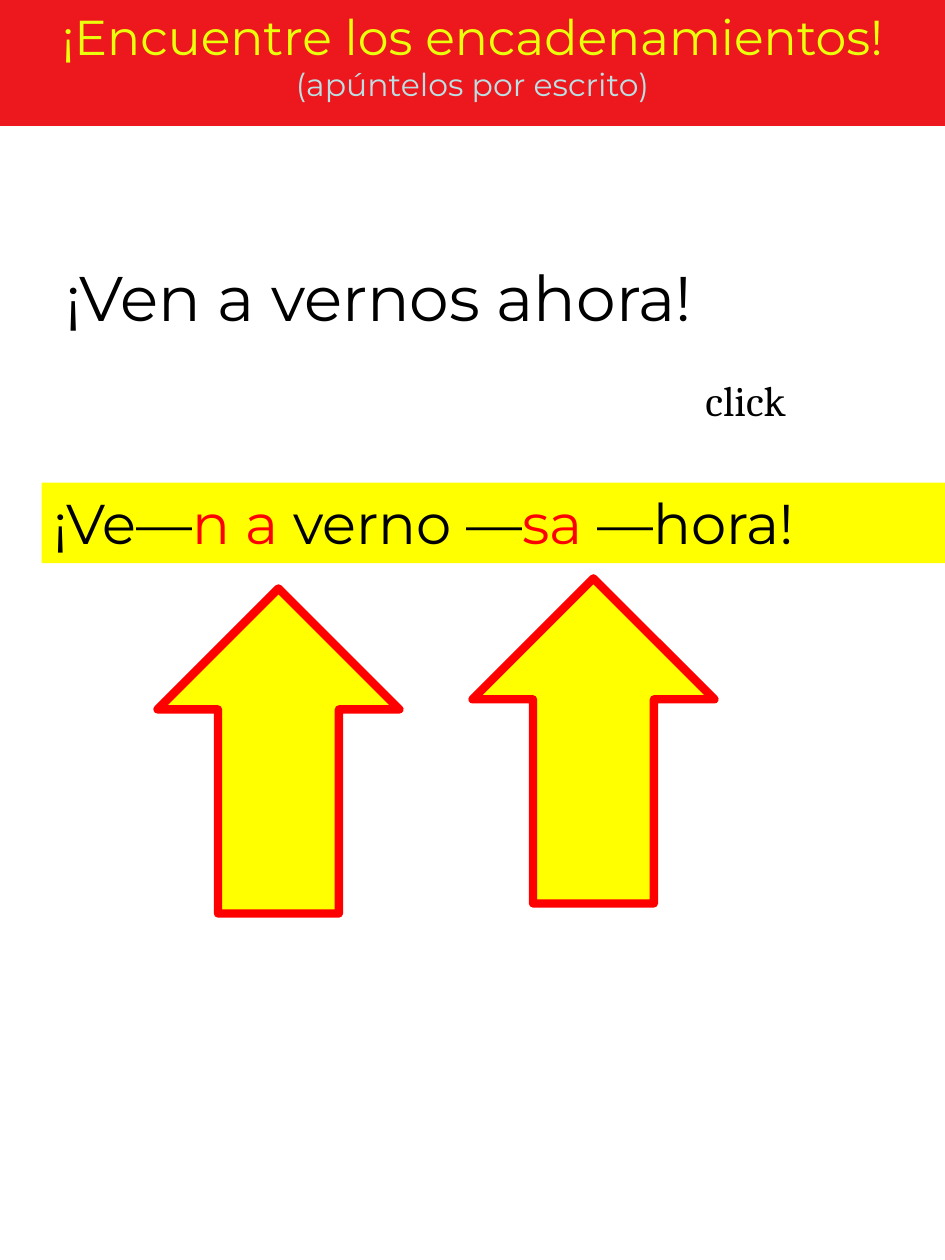
from dataclasses import dataclass

from pptx import Presentation
from pptx.dml.color import RGBColor
from pptx.enum.shapes import MSO_SHAPE
from pptx.enum.text import MSO_ANCHOR, PP_ALIGN
from pptx.util import Inches, Pt


@dataclass(frozen=True)
class Theme:
    red: str = "ED181E"
    lemon: str = "E9FF0C"
    pale: str = "BBE0E3"
    yellow: str = "FFFF00"
    accent: str = "FF0000"
    ink: str = "000000"
    sans: str = "Montserrat"
    serif: str = "Cambria"
    title: int = 28
    subtitle: int = 18
    sentence: int = 36
    answer: int = 32
    cue: int = 24
    outline: float = 4.75


THEME = Theme()


def add_text(para, text, *, size, color=THEME.ink, font=THEME.sans, align=PP_ALIGN.LEFT):
    para.alignment = align
    span = para.add_run()
    span.text = text
    span.font.name = font
    span.font.size = Pt(size)
    span.font.color.rgb = RGBColor.from_string(color)


def add_block(page, box, kind, fill):
    block = page.shapes.add_shape(kind, *map(Inches, box))
    block.shadow.inherit = False
    block.fill.solid()
    block.fill.fore_color.rgb = RGBColor.from_string(fill)
    block.line.fill.background()
    block.text_frame.word_wrap = True
    block.text_frame.vertical_anchor = MSO_ANCHOR.TOP
    return block


def add_header(page, box):
    frame = add_block(page, box, MSO_SHAPE.RECTANGLE, THEME.red).text_frame
    add_text(frame.paragraphs[0], "¡Encuentre los encadenamientos!",
             size=THEME.title, color=THEME.lemon, align=PP_ALIGN.CENTER)
    add_text(frame.add_paragraph(), "(apúntelos por escrito)",
             size=THEME.subtitle, color=THEME.pale, align=PP_ALIGN.CENTER)


def add_label(page, box, text, **style):
    frame = page.shapes.add_textbox(*map(Inches, box)).text_frame
    frame.word_wrap = True
    add_text(frame.paragraphs[0], text, **style)


def add_answer(page, box):
    frame = add_block(page, box, MSO_SHAPE.RECTANGLE, THEME.yellow).text_frame
    # Linked sounds stand out in the accent colour
    parts = [("¡Ve—", THEME.ink), ("n a ", THEME.accent), ("verno —", THEME.ink),
             ("sa", THEME.accent), (" —hora!", THEME.ink)]
    for text, color in parts:
        add_text(frame.paragraphs[0], text, size=THEME.answer, color=color)


def add_arrow(page, box):
    arrow = add_block(page, box, MSO_SHAPE.UP_ARROW, THEME.yellow)
    arrow.line.color.rgb = RGBColor.from_string(THEME.accent)
    arrow.line.width = Pt(THEME.outline)


def main():
    deck = Presentation()
    deck.slide_width, deck.slide_height = Inches(7.5), Inches(10)
    page = deck.slides.add_slide(deck.slide_layouts[6])

    # Heading and sentence to study
    add_header(page, (0, 0, 7.5, 1))
    add_label(page, (0.42, 2, 6.62, 0.71), "¡Ven a vernos ahora!", size=THEME.sentence)

    # Answer, with an arrow under each link
    add_answer(page, (0.33, 3.83, 7.17, 0.64))
    add_label(page, (5.5, 2.92, 1.41, 0.5), "click", size=THEME.cue, font=THEME.serif)
    for left, top in ((1.25, 4.67), (3.75, 4.59)):
        add_arrow(page, (left, top, 1.92, 2.58))

    deck.save("out.pptx")


if __name__ == "__main__":
    main()
